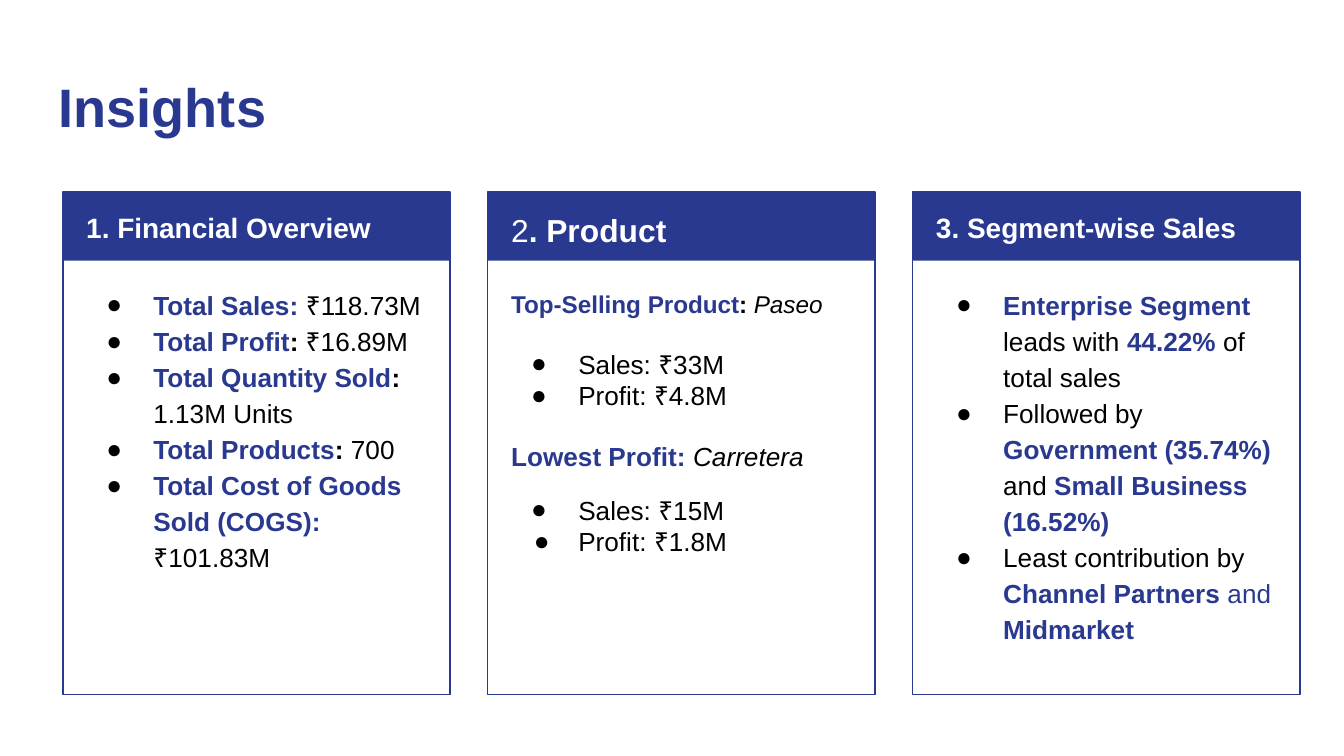
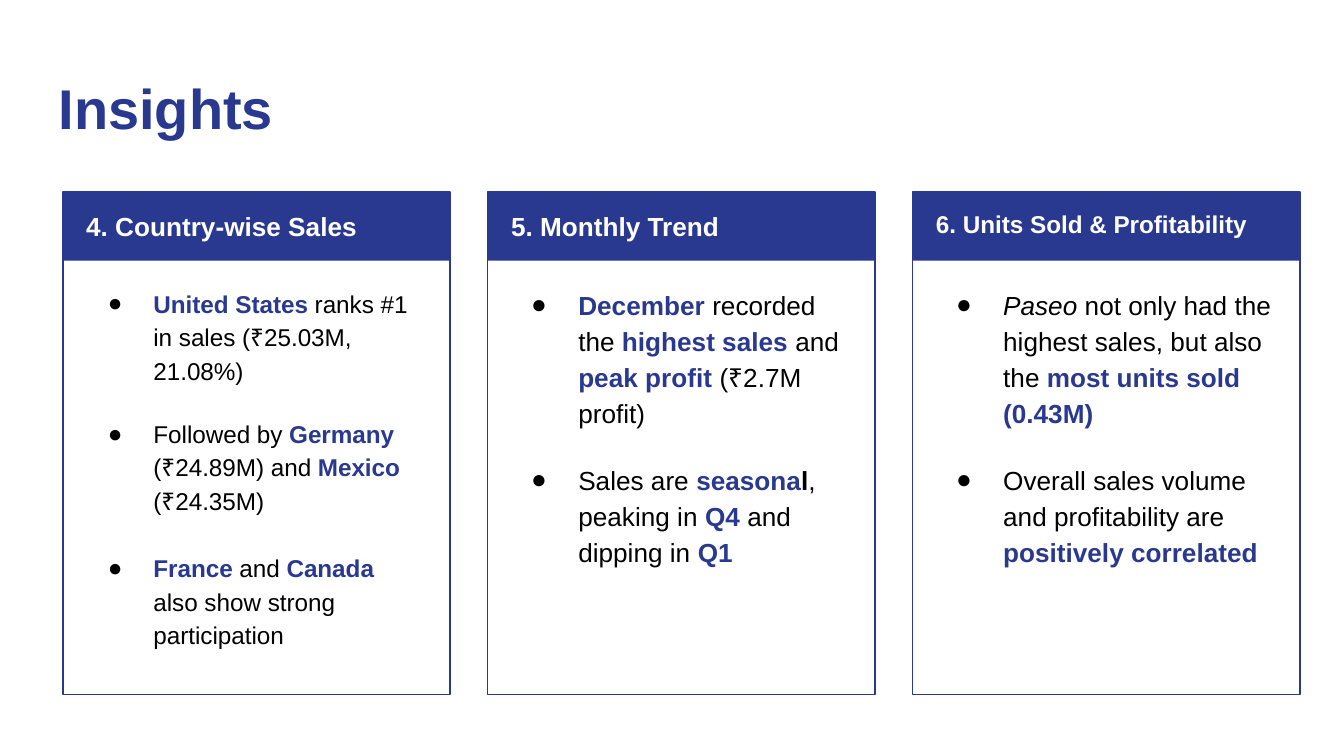
from lxml.etree import SubElement
from pptx import Presentation
from pptx.dml.color import RGBColor
from pptx.enum.shapes import MSO_SHAPE
from pptx.enum.text import MSO_ANCHOR
from pptx.oxml.ns import qn
from pptx.util import Cm, Pt

COLORS = {"blue": "2A3990", "black": "000000", "white": "FFFFFF"}
FONT = "Arial"
STYLES = {
    "plain": {"color": "black"},
    "italic": {"color": "black", "italic": True},
    "strong": {"color": "black", "bold": True},
    "key": {"color": "blue", "bold": True},
    "blue": {"color": "blue"},
    "white": {"color": "white"},
    "heading": {"color": "white", "bold": True},
}

CARD_LEFT, CARD_TOP, CARD_PITCH = 1.19, 3.63, 8.03
CARD_WIDTH, CARD_HEIGHT, BAND_HEIGHT = 7.32, 9.5, 1.3
TEXT_OFFSET = 0.19
BULLET_INDENT = 0.5 * 2.54

# Each paragraph is its format values followed by (style, text) runs.
BULLET = {"bullet": True, "spacing": 1.15}
TIGHT = {"bullet": True}
SMALL = {"bullet": True, "spacing": 1.15, "size": 13, "hanging": 0.86}

SLIDES = [
    {"title_size": 29, "cards": [
        {"heading": ({"size": 15}, ("heading", "1. Financial Overview")),
         "body": [
             (BULLET, ("key", "Total Sales:"), ("plain", " ₹118.73M")),
             (BULLET, ("key", "Total Profit"), ("strong", ":"), ("plain", " ₹16.89M")),
             (BULLET, ("key", "Total Quantity Sold"), ("strong", ":"),
              ("plain", " 1.13M Units")),
             (BULLET, ("key", "Total Products"), ("strong", ":"), ("plain", " 700")),
             (BULLET, ("key", "Total Cost of Goods Sold (COGS): "),
              ("plain", "₹101.83M")),
         ]},
        {"heading": ({"size": 17}, ("white", "2"), ("heading", ". Product")),
         "body": [
             ({"size": 13, "spacing": 1.15}, ("key", "Top-Selling Product"),
              ("strong", ": "), ("italic", "Paseo")),
             (TIGHT | {"before": 16}, ("plain", "Sales: ₹33M")),
             (TIGHT, ("plain", "Profit: ₹4.8M")),
             ({"before": 16}, ("key", "Lowest Profit: "), ("italic", "Carretera")),
             (TIGHT | {"before": 12}, ("plain", "Sales: ₹15M")),
             (TIGHT | {"hanging": 0.84}, ("plain", "Profit: ₹1.8M")),
         ]},
        {"heading": ({"size": 15}, ("heading", "3. Segment-wise Sales")),
         "body": [
             (BULLET, ("key", "Enterprise Segment "), ("plain", "leads with "),
              ("key", "44.22% "), ("plain", "of total sales")),
             (BULLET, ("plain", "Followed by "), ("key", "Government (35.74%) "),
              ("plain", "and "), ("key", "Small Business (16.52%)")),
             (BULLET, ("plain", "Least contribution by "), ("key", "Channel Partners"),
              ("blue", " and "), ("key", "Midmarket")),
         ]},
    ]},
    {"title_size": 30, "cards": [
        {"heading": ({"size": 14}, ("heading", "4. Country-wise Sales")),
         "body": [
             (SMALL, ("key", "United States"),
              ("plain", " ranks #1 in sales (₹25.03M, 21.08%)")),
             (SMALL | {"before": 16}, ("plain", "Followed by "), ("key", "Germany "),
              ("plain", "(₹24.89M) and "), ("key", "Mexico "), ("plain", "(₹24.35M)")),
             (SMALL | {"before": 18}, ("key", "France"), ("plain", " and "),
              ("key", "Canada"), ("plain", " also show strong participation")),
         ]},
        {"heading": ({"size": 14}, ("heading", "5. Monthly Trend")),
         "body": [
             (BULLET, ("key", "December"), ("plain", " recorded the "),
              ("key", "highest sales "), ("plain", "and "), ("key", "peak profit "),
              ("plain", "(₹2.7M profit)")),
             (BULLET | {"before": 16.5}, ("plain", "Sales are "), ("key", "seasona"),
              ("strong", "l"), ("plain", ", peaking in "), ("key", "Q4"),
              ("plain", " and dipping in "), ("key", "Q1")),
         ]},
        {"heading": ({"size": 13}, ("heading", "6. Units Sold & Profitability")),
         "body": [
             (BULLET, ("italic", "Paseo"),
              ("plain", " not only had the highest sales, but also the "),
              ("key", "most units sold (0.43M)")),
             (BULLET | {"before": 16.5},
              ("plain", "Overall sales volume and profitability are "),
              ("key", "positively correlated")),
         ]},
    ]},
]


def add_text(slide, left, top, width, height, paragraphs):
    """Add a wrapped text box; unset paragraph values mean 14 pt, single spaced."""
    frame = slide.shapes.add_textbox(Cm(left), Cm(top), Cm(width), Cm(height)).text_frame
    frame.word_wrap = True
    frame.vertical_anchor = MSO_ANCHOR.TOP
    for side in ("left", "top", "right", "bottom"):
        setattr(frame, f"margin_{side}", Cm(0.25))
    for index, (layout, *runs) in enumerate(paragraphs):
        paragraph = frame.paragraphs[0] if index == 0 else frame.add_paragraph()
        paragraph.line_spacing = layout.get("spacing", 1.0)
        paragraph.space_before = Pt(layout.get("before", 0))
        paragraph.space_after = Pt(0)
        if layout.get("bullet"):
            add_bullet(paragraph, layout.get("hanging", 0.89))
        for style, text in runs:
            run = paragraph.add_run()
            run.text = text
            values = {"name": FONT, "size": Pt(layout.get("size", 14)),
                      "bold": False, "italic": False} | STYLES[style]
            run.font.color.rgb = RGBColor.from_string(COLORS[values.pop("color")])
            for name, value in values.items():
                setattr(run.font, name, value)


def add_bullet(paragraph, hanging):
    properties = paragraph._p.get_or_add_pPr()
    properties.set("marL", str(Cm(BULLET_INDENT)))
    properties.set("indent", str(-Cm(hanging)))
    color = SubElement(properties, qn("a:buClr"))
    SubElement(color, qn("a:srgbClr"), val=COLORS["black"])
    SubElement(properties, qn("a:buFont"), typeface=FONT)
    SubElement(properties, qn("a:buChar"), char="●")


presentation = Presentation()
presentation.slide_width = Cm(25.4)
presentation.slide_height = Cm(14.29)
blue = RGBColor.from_string(COLORS["blue"])

for content in SLIDES:
    slide = presentation.slides.add_slide(presentation.slide_layouts[6])
    title = ({"size": content["title_size"]}, ("key", "Insights"))
    add_text(slide, 0.86, 1.14, 23.67, 1.68, [title])

    for column, card in enumerate(content["cards"]):
        left = CARD_LEFT + column * CARD_PITCH
        for height, is_band in ((BAND_HEIGHT, True), (CARD_HEIGHT, False)):
            shape = slide.shapes.add_shape(
                MSO_SHAPE.RECTANGLE, Cm(left), Cm(CARD_TOP), Cm(CARD_WIDTH), Cm(height))
            shape.shadow.inherit = False
            if is_band:
                shape.fill.solid()
                shape.fill.fore_color.rgb = blue
                shape.line.fill.background()
            else:
                shape.fill.background()
                shape.line.color.rgb = blue
                shape.line.width = Pt(0.75)

        layout, *runs = card["heading"]
        heading = (layout | {"spacing": 1.15}, *runs)
        add_text(slide, left + TEXT_OFFSET, CARD_TOP, 6.93, 1.27, [heading])
        add_text(slide, left + TEXT_OFFSET, 5.13, 6.88, 7.77, card["body"])

presentation.save("out.pptx")
